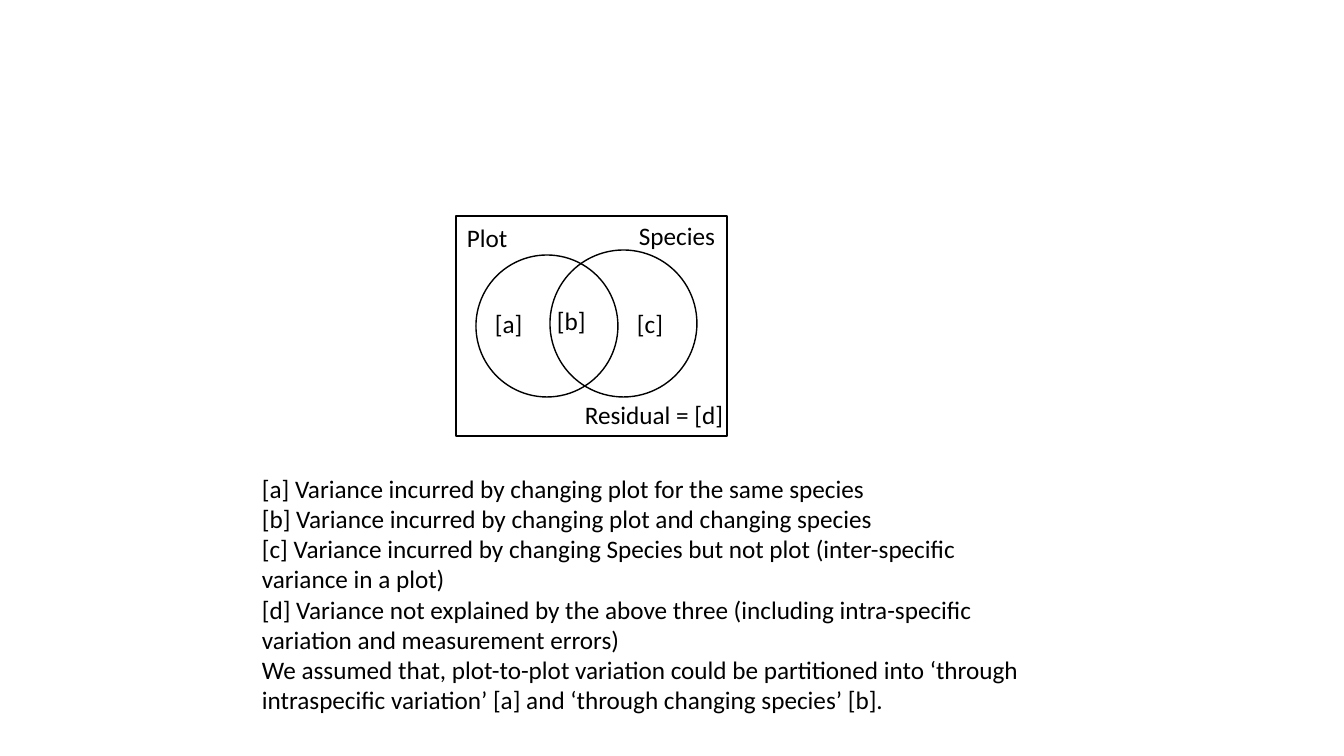
from pptx import Presentation
from pptx.dml.color import RGBColor
from pptx.enum.shapes import MSO_SHAPE
from pptx.enum.text import MSO_AUTO_SIZE
from pptx.util import Pt

RECTANGLE, OVAL = MSO_SHAPE.RECTANGLE, MSO_SHAPE.OVAL
FIT_SHAPE = MSO_AUTO_SIZE.SHAPE_TO_FIT_TEXT
EMU_PER_PX = 914400 / 100.8
PAGE_SIZE = (1344, 756)
BLACK, WHITE = "000000", "FFFFFF"
LABEL_HEIGHT = 40

# kind, (left, top, width, height), fill
OUTLINES = [
    (RECTANGLE, (456, 216, 271, 220), WHITE),
    (OVAL, (476, 255, 142, 142), WHITE),
    (OVAL, (550, 250, 147, 147), None),
]
# text, left, top, width
LABELS = [
    ("Species", 629, 215, 98),
    ("Plot", 457, 217, 61),
    ("Residual = [d]", 575, 394, 160),
    ("[a]", 485, 303, 48),
    ("[b]", 547, 300, 49),
    ("[c]", 627, 303, 46),
]
LEGEND_AREA = (252, 468, 804, 254)
LEGEND = [
    "[a] Variance incurred by changing plot for the same species",
    "[b] Variance incurred by changing plot and changing species",
    "[c] Variance incurred by changing Species but not plot (inter-specific variance in a plot)",
    "[d] Variance not explained by the above three (including intra-specific variation "
    "and measurement errors)",
    "We assumed that, plot-to-plot variation could be partitioned into ‘through "
    "intraspecific variation’ [a] and ‘through changing species’ [b].",
]


def px(*lengths):
    return [round(length * EMU_PER_PX) for length in lengths]


def color(hex_string):
    return RGBColor.from_string(hex_string)


def add_outline(page, kind, area, fill):
    shape = page.shapes.add_shape(kind, *px(*area))
    shape.shadow.inherit = False
    shape.line.color.rgb = color(BLACK)
    shape.line.width = Pt(1)
    if fill:
        shape.fill.solid()
        shape.fill.fore_color.rgb = color(fill)
    else:
        shape.fill.background()


def add_text(page, lines, area, wrap):
    frame = page.shapes.add_textbox(*px(*area)).text_frame
    frame.word_wrap = wrap
    frame.auto_size = FIT_SHAPE
    frame.text = "\n".join(lines)
    for para in frame.paragraphs:
        para.font.name = "Calibri"
        para.font.size = Pt(18)
        para.font.color.rgb = color(BLACK)


def main():
    deck = Presentation()
    deck.slide_width, deck.slide_height = px(*PAGE_SIZE)
    blank_layout = deck.slide_layouts[6]
    page = deck.slides.add_slide(blank_layout)
    for kind, area, fill in OUTLINES:
        add_outline(page, kind, area, fill)
    for text, left, top, width in LABELS:
        add_text(page, [text], (left, top, width, LABEL_HEIGHT), wrap=False)
    add_text(page, LEGEND, LEGEND_AREA, wrap=True)
    deck.save("out.pptx")


if __name__ == "__main__":
    main()
